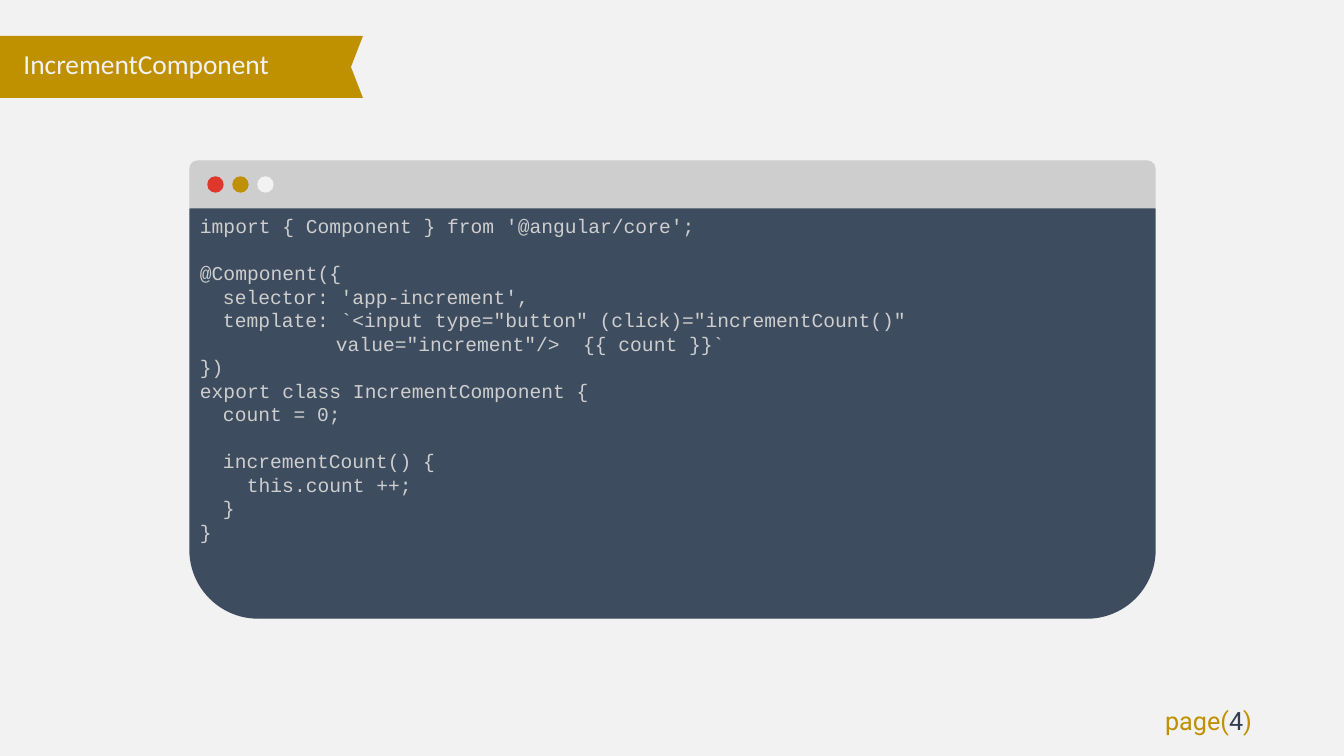
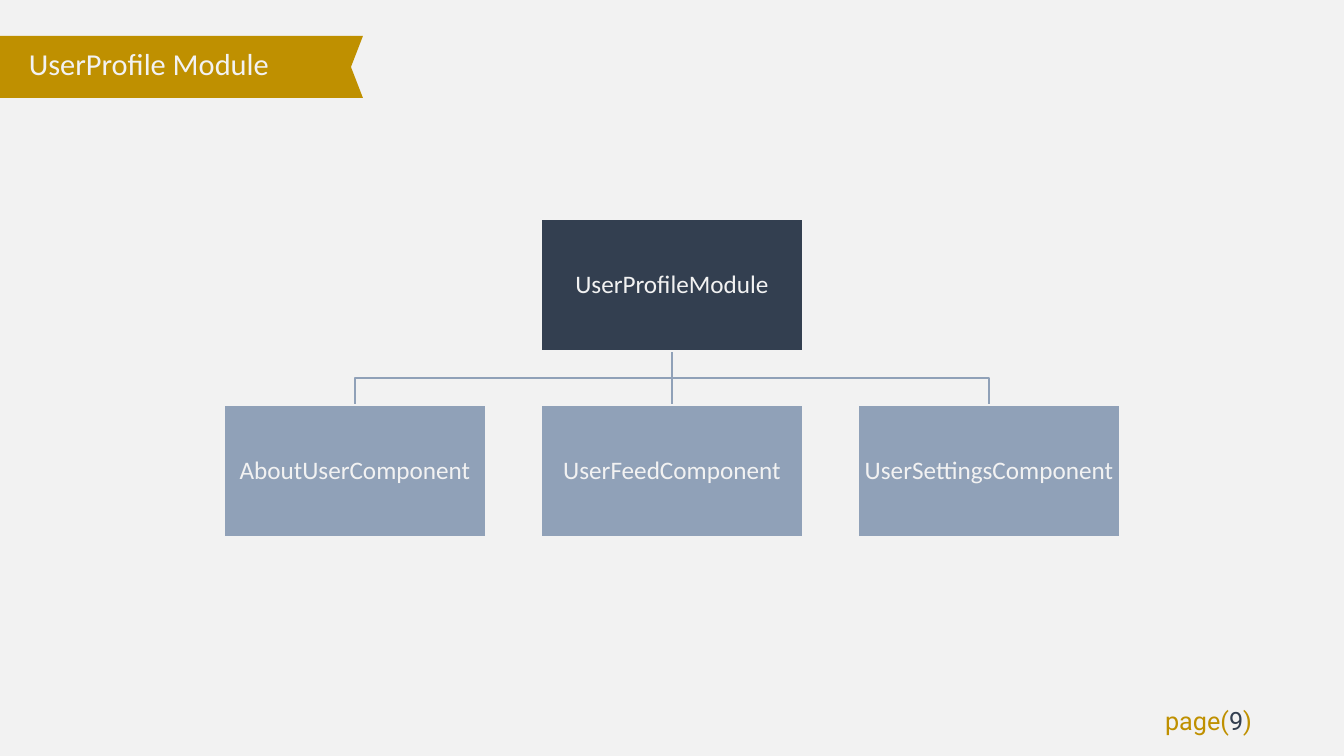
from dataclasses import dataclass

from lxml import etree
from pptx import Presentation
from pptx.dml.color import RGBColor
from pptx.enum.shapes import MSO_CONNECTOR, MSO_SHAPE
from pptx.enum.text import MSO_ANCHOR, PP_ALIGN
from pptx.oxml.ns import qn
from pptx.util import Pt

RECT = MSO_SHAPE.RECTANGLE
ROUND = MSO_SHAPE.ROUND_2_SAME_RECTANGLE
OVAL = MSO_SHAPE.OVAL
WEDGE = MSO_SHAPE.RIGHT_TRIANGLE
STRAIGHT = MSO_CONNECTOR.STRAIGHT
LEFT, CENTER, RIGHT = PP_ALIGN.LEFT, PP_ALIGN.CENTER, PP_ALIGN.RIGHT
TOP, MIDDLE = MSO_ANCHOR.TOP, MSO_ANCHOR.MIDDLE

WIDE, HIGH = 1344, 756
SCALE = 12192000 / WIDE


@dataclass(frozen=True)
class Theme:
    paper: str = "F2F2F2"
    gold: str = "BF9000"
    navy: str = "333F50"
    steel: str = "90A1B8"
    slate: str = "3D4C5F"
    silver: str = "CECECE"
    red: str = "DD382B"
    sans: str = "Calibri"
    mono: str = "Courier New"
    page: str = "Roboto"
    body: float = 18
    code: float = 14
    pitch: float = 16.8


THEME = Theme()

# Each line of code: indent in px, text, blank lines above it.
CODE = [
    (0, "import { Component } from '@angular/core';", 0),
    (0, "@Component({", 1),
    (23, "selector: 'app-increment',", 0),
    (23, "template: `<input type=\"button\" (click)=\"incrementCount()\"", 0),
    (136, "value=\"increment\"/>  {{ count }}`", 0),
    (0, "})", 0),
    (0, "export class IncrementComponent {", 0),
    (23, "count = 0;", 0),
    (23, "incrementCount() {", 1),
    (47, "this.count ++;", 0),
    (23, "}", 0),
    (0, "}", 0),
]
PARTS = ["AboutUserComponent", "UserFeedComponent", "UserSettingsComponent"]


def emu(px):
    return round(px * SCALE)


def rgb(color):
    return RGBColor.from_string(color)


def write(shape, lines, font=THEME.sans, size=THEME.body, color=THEME.paper,
          align=LEFT, anchor=MIDDLE, inset=(10, 5), space=None, before=0):
    """Fill a shape with lines; a line is a string or a list of (text, color)."""
    frame = shape.text_frame
    frame.word_wrap = True
    frame.vertical_anchor = anchor
    frame.margin_left = frame.margin_right = emu(inset[0])
    frame.margin_top = frame.margin_bottom = emu(inset[1])
    for i, line in enumerate(lines):
        para = frame.add_paragraph() if i else frame.paragraphs[0]
        para.alignment = align
        para.space_before = Pt(before)
        para.line_spacing = space
        for part, tint in [(line, color)] if isinstance(line, str) else line:
            run = para.add_run()
            run.text = part
            run.font.name = font
            run.font.size = Pt(size)
            run.font.color.rgb = rgb(tint)
    return frame


class Deck:
    def __init__(self, theme):
        self.theme = theme
        self.prs = Presentation()
        self.prs.slide_width, self.prs.slide_height = emu(WIDE), emu(HIGH)
        fill = self.prs.slide_master.background.fill
        fill.solid()
        fill.fore_color.rgb = rgb(theme.paper)
        self.slide = None

    def shape(self, kind, x, y, w, h, fill, line=None):
        item = self.slide.shapes.add_shape(kind, emu(x), emu(y), emu(w), emu(h))
        item.shadow.inherit = False
        item.fill.solid()
        item.fill.fore_color.rgb = rgb(fill)
        if line:
            item.line.color.rgb = rgb(line)
            item.line.width = Pt(1)
        else:
            item.line.fill.background()
        return item

    def text(self, x, y, w, h, lines, **style):
        box = self.slide.shapes.add_textbox(emu(x), emu(y), emu(w), emu(h))
        return write(box, lines, **style)

    def line(self, x1, y1, x2, y2, color):
        item = self.slide.shapes.add_connector(
            STRAIGHT, emu(x1), emu(y1), emu(x2), emu(y2))
        item.line.color.rgb = rgb(color)
        item.line.width = Pt(1)
        etree.SubElement(item._element.spPr, qn("a:effectLst"))

    def elbow(self, x1, y1, x2, y2, color):
        """Draw an open path that goes down, across and down again."""
        fork = (y1 + y2) // 2
        path = self.slide.shapes.build_freeform(x1, y1, SCALE)
        path.add_line_segments([(x1, fork), (x2, fork), (x2, y2)], close=False)
        item = path.convert_to_shape()
        item.shadow.inherit = False
        item.fill.background()
        item.line.color.rgb = rgb(color)
        item.line.width = Pt(1)

    def ribbon(self):
        """Draw the title band with its notched end."""
        gold, end, y, half = self.theme.gold, 351, 36, 31
        self.shape(RECT, 0, y, end, 2 * half, gold)
        self.shape(WEDGE, end, y + half, 12, half, gold)
        upper = self.shape(WEDGE, end, y, 12, half, gold)
        upper._element.spPr.get_or_add_xfrm().set("flipV", "1")

    def page(self, title, size, number):
        """Start a slide with its ribbon, title and page number."""
        look = self.theme
        self.slide = self.prs.slides.add_slide(self.prs.slide_layouts[6])
        self.ribbon()
        self.text(0, 37, 279, 62, [title], size=size, align=RIGHT,
                  space=0.7, before=10)
        label = [("page(", look.gold), (str(number), look.navy), (")", look.gold)]
        self.text(1072, 700, 190, 41, [label], font=look.page, align=RIGHT)

    def editor(self, x, y, w, rows):
        """Draw a window with a title bar, three dots and lines of code."""
        look, bar, body = self.theme, 48, 409
        self.shape(ROUND, x, y, w, bar, look.silver, look.silver)
        pane = self.shape(ROUND, x, y + bar, w, body, look.slate, look.slate)
        pane.rotation = 180
        for i, color in enumerate([look.red, look.gold, look.paper]):
            self.shape(OVAL, x + 18 + 25 * i, y + 16, 15, 15, color, color)
        frame = self.text(x, y + bar, w, 343, [text for _, text, _ in rows],
                          font=look.mono, size=look.code, color=look.silver,
                          anchor=TOP, space=Pt(look.pitch))
        for para, (indent, _, gap) in zip(frame.paragraphs, rows):
            para.space_before = Pt(look.pitch * gap)
            para._p.get_or_add_pPr().set("marL", str(emu(indent)))

    def tree(self, root, leaves):
        """Draw a root box above a row of leaf boxes, joined by lines."""
        look = self.theme
        w, h, step, top, low = 262, 132, 317, 219, 405
        mid = WIDE // 2
        first = mid - step * (len(leaves) - 1) // 2
        spots = [first + step * i for i in range(len(leaves))]
        for spot in reversed(spots):
            join = self.line if spot == mid else self.elbow
            join(mid, top + h, spot, low, look.steel)
        boxes = [(mid, top, root, look.navy)]
        boxes += [(spot, low, leaf, look.steel) for spot, leaf in zip(spots, leaves)]
        for x, y, name, fill in boxes:
            box = self.shape(RECT, x - w // 2, y, w, h, fill, look.paper)
            write(box, [name], align=CENTER, inset=(1, 1), space=0.9)


def main():
    deck = Deck(THEME)
    deck.page("IncrementComponent", 19.6, 4)
    deck.editor(190, 161, 965, CODE)
    deck.page("UserProfile Module", 21.7, 9)
    deck.tree("UserProfileModule", PARTS)
    deck.prs.save("out.pptx")


if __name__ == "__main__":
    main()
